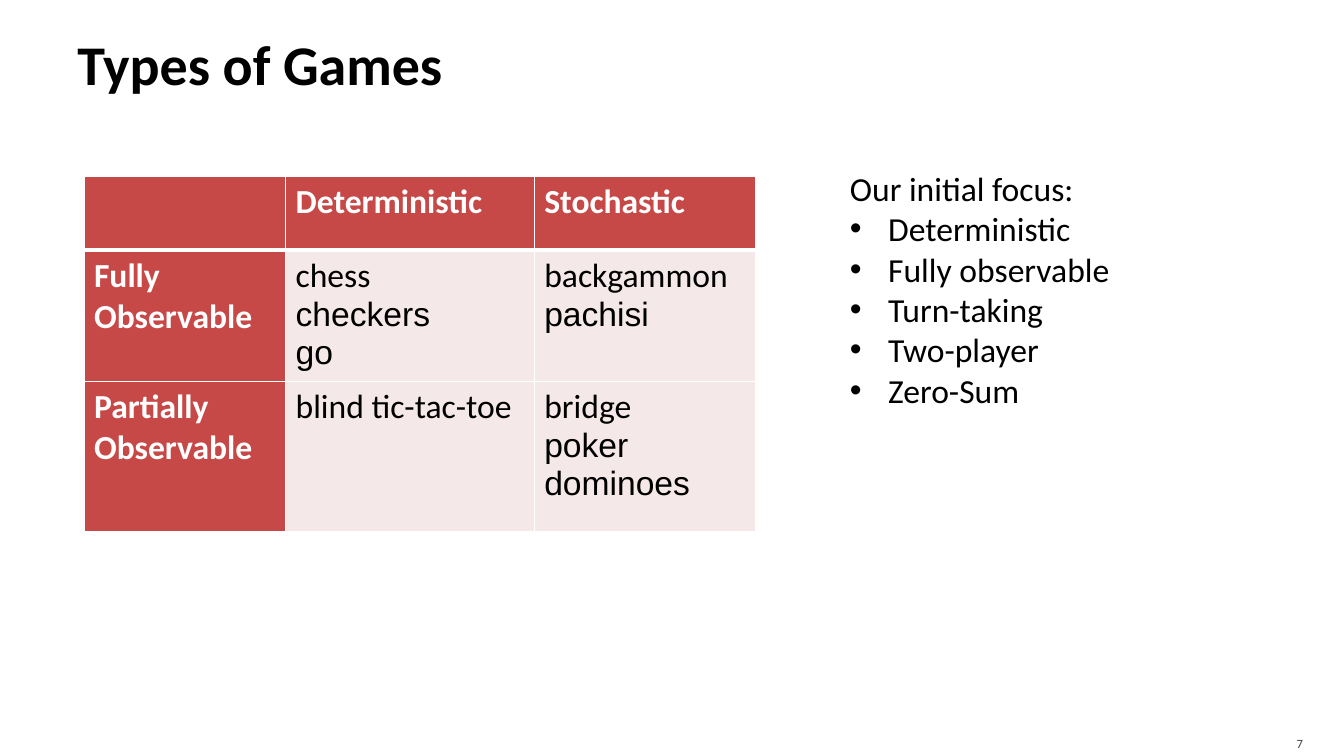
import pptx
import pptx.util
import pptx.dml.color
import pptx.enum.text
import pptx.oxml.ns
import lxml.etree

BLACK = pptx.dml.color.RGBColor(0x00, 0x00, 0x00)
WHITE = pptx.dml.color.RGBColor(0xFF, 0xFF, 0xFF)
GREY = pptx.dml.color.RGBColor(0x41, 0x41, 0x41)
RED = pptx.dml.color.RGBColor(0xC6, 0x48, 0x47)
PINK = pptx.dml.color.RGBColor(0xF5, 0xE8, 0xE8)

COLUMNS, ROWS = 16, 9
UNIT = pptx.util.Inches(7.5) // ROWS


def grid(*lengths):
    return [round(length * UNIT) for length in lengths]


def style(para, size, color, bold=False, name="Calibri"):
    para.font.name = name
    para.font.size = pptx.util.Pt(size)
    para.font.bold = bold
    para.font.color.rgb = color


deck = pptx.Presentation()
deck.slide_width, deck.slide_height = grid(COLUMNS, ROWS)
page = deck.slides.add_slide(deck.slide_layouts[5])

title = page.shapes.title
title.left, title.top, title.width, title.height = grid(0.8, 0.2, 14.4, 1.1)
title.text_frame.text = "Types of Games"
title.text_frame.margin_right = pptx.util.Inches(0.05)
title.text_frame.vertical_anchor = pptx.enum.text.MSO_ANCHOR.MIDDLE
title.text_frame.paragraphs[0].alignment = pptx.enum.text.PP_ALIGN.LEFT
style(title.text_frame.paragraphs[0], 40, BLACK, bold=True)

games = [
    ["", "Deterministic", "Stochastic"],
    ["Fully Observable", "chess\ncheckers\ngo", "backgammon\npachisi"],
    ["Partially Observable", "blind tic-tac-toe", "bridge\npoker\ndominoes"],
]
column_widths = grid(2.4, 2.96, 2.63)
row_heights = grid(0.88, 1.56, 1.79)
table = page.shapes.add_table(
    3, 3, *grid(1, 2.1), sum(column_widths), sum(row_heights)
).table
for column, width in zip(table.columns, column_widths):
    column.width = width
for row, height in zip(table.rows, row_heights):
    row.height = height

for row_index, row_texts in enumerate(games):
    for column_index, text in enumerate(row_texts):
        cell = table.cell(row_index, column_index)
        heading = row_index == 0 or column_index == 0
        cell.text = text
        for line_index, para in enumerate(cell.text_frame.paragraphs):
            style(para, 24, WHITE if heading else BLACK, heading,
                  "Arial" if line_index else "Calibri")
        properties = cell._tc.get_or_add_tcPr()
        for side in ("L", "R", "T", "B"):
            header_edge = (row_index, side) in ((0, "B"), (1, "T"))
            border = lxml.etree.SubElement(
                properties, pptx.oxml.ns.qn("a:ln" + side),
                w=str(pptx.util.Pt(3 if header_edge else 1)))
            fill = lxml.etree.SubElement(border, pptx.oxml.ns.qn("a:solidFill"))
            lxml.etree.SubElement(
                fill, pptx.oxml.ns.qn("a:srgbClr"), val=str(WHITE))
        cell.fill.solid()
        cell.fill.fore_color.rgb = RED if heading else PINK

focus = page.shapes.add_textbox(*grid(10, 1.94, 3.7, 3.02)).text_frame
focus.word_wrap = True
focus.text = "\n".join([
    "Our initial focus:", "Deterministic", "Fully observable",
    "Turn-taking", "Two-player", "Zero-Sum",
])
for index, para in enumerate(focus.paragraphs):
    if index:
        properties = para._p.get_or_add_pPr()
        indent = pptx.util.Inches(0.38)
        properties.set("marL", str(indent))
        properties.set("indent", str(-indent))
        lxml.etree.SubElement(
            properties, pptx.oxml.ns.qn("a:buFont"), typeface="Arial")
        lxml.etree.SubElement(
            properties, pptx.oxml.ns.qn("a:buChar"), char="•")
    style(para, 24, BLACK)

number = page.shapes.add_textbox(*grid(14.35, 8.64, 1.28, 0.36)).text_frame
number.word_wrap = True
number.margin_bottom = 0
number.vertical_anchor = pptx.enum.text.MSO_ANCHOR.MIDDLE
number.text = "7"
number.paragraphs[0].alignment = pptx.enum.text.PP_ALIGN.RIGHT
style(number.paragraphs[0], 9, GREY)

deck.save("out.pptx")
